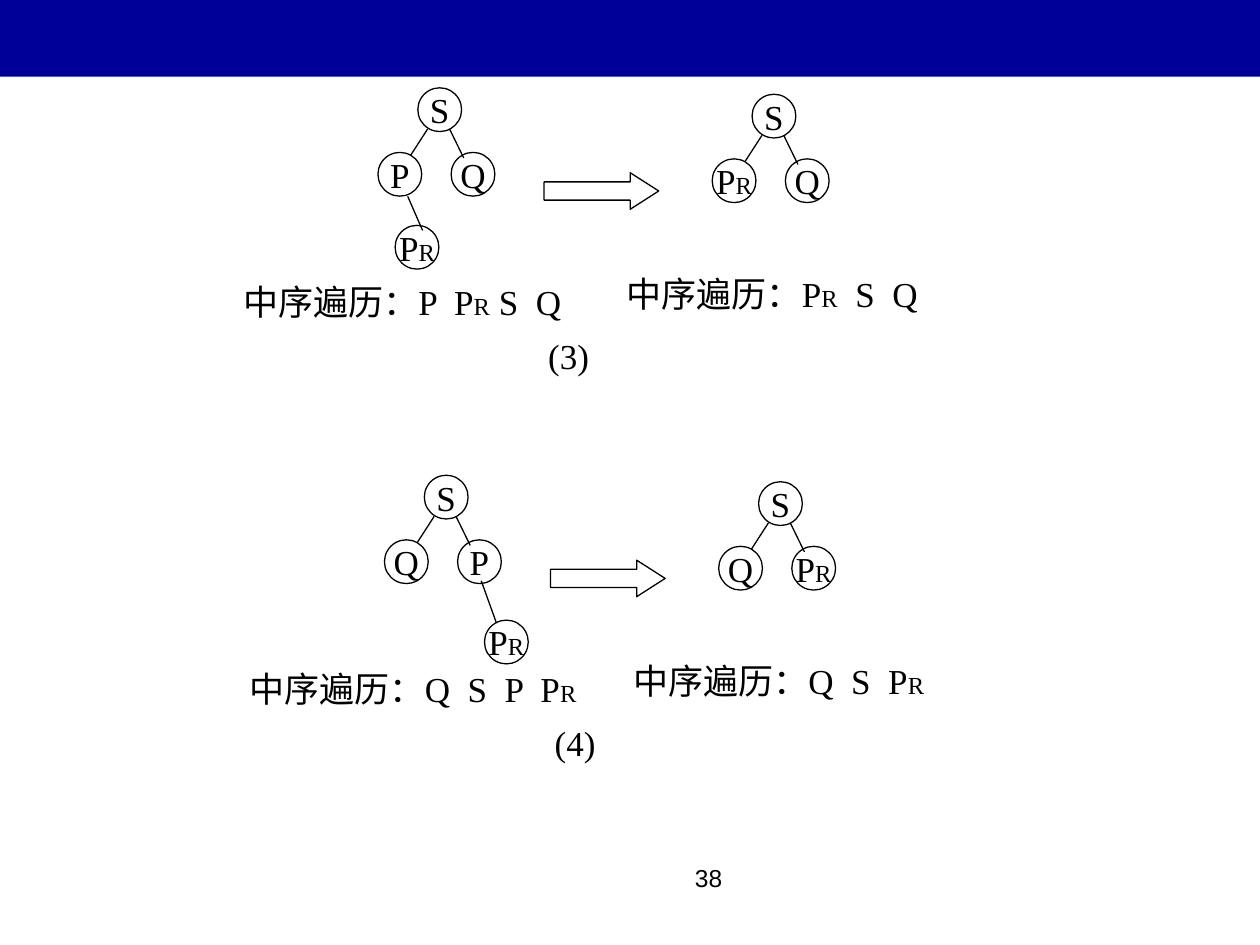
"""Build the slide on deleting a binary search tree node with one right child."""
from dataclasses import dataclass

from lxml.etree import SubElement
from pptx import Presentation
from pptx.dml.color import RGBColor
from pptx.enum.shapes import MSO_CONNECTOR, MSO_SHAPE
from pptx.enum.text import MSO_ANCHOR, MSO_AUTO_SIZE, PP_ALIGN
from pptx.oxml.ns import qn
from pptx.util import Pt


@dataclass(frozen=True)
class Theme:
    """Colours, fonts and sizes in points."""
    band: RGBColor = RGBColor(0x00, 0x00, 0x99)
    ink: RGBColor = RGBColor(0x00, 0x00, 0x00)
    serif: str = "Times New Roman"
    sans: str = "Arial"
    body: float = 20
    small: float = 14
    stroke: float = 0.75
    node: float = 25
    caption_height: float = 31.7


THEME = Theme()
PR = ("P", "R")
LEFT_CHILD, RIGHT_CHILD = (-22.8, 36.9), (19, 36.9)
CHILD_EDGES = (((5.6, 23.5), (-4.1, 38.5)), ((18.1, 23.5), (26.2, 40.1)))
AFTER_OFFSET = (191, 3.7)

SCENES = (
    {
        "root": (238.8, 50.2),
        "before": ("P", "Q"),
        "after": (PR, "Q"),
        "grandchild": (-13, 78.6),
        "grandchild_edge": ((-5.8, 62), (2.7, 81.5)),
        "before_order": ("中序遍历：P  P", "R", " S  Q"),
        "before_width": 203,
        "after_order": ("中序遍历：P", "R", "  S  Q"),
        "number": "(3)",
    },
    {
        "root": (242.5, 271.6),
        "before": ("Q", "P"),
        "after": ("Q", PR),
        "grandchild": (34.4, 82.8),
        "grandchild_edge": ((32.5, 60.3), (41, 83.9)),
        "before_order": ("中序遍历：Q  S  P  P", "R"),
        "before_width": 209,
        "after_order": ("中序遍历：Q  S  P", "R"),
        "number": "(4)",
    },
)


def shift(origin, offset):
    """Return the point that lies at an offset from an origin."""
    return origin[0] + offset[0], origin[1] + offset[1]


def write_text(shape, pieces, *, font=THEME.serif, sizes=(THEME.body, THEME.small),
               align=PP_ALIGN.LEFT, anchor=MSO_ANCHOR.MIDDLE, wrap=False, grow=False):
    """Write a string, or pieces that alternate between the two sizes."""
    frame = shape.text_frame
    frame.word_wrap = wrap
    frame.vertical_anchor = anchor
    frame.auto_size = MSO_AUTO_SIZE.SHAPE_TO_FIT_TEXT if grow else MSO_AUTO_SIZE.NONE
    paragraph = frame.paragraphs[0]
    paragraph.alignment = align
    for index, piece in enumerate((pieces,) if isinstance(pieces, str) else pieces):
        run = paragraph.add_run()
        run.text = piece
        run.font.name = font
        run.font.size = Pt(sizes[index % 2])
        run.font.color.rgb = THEME.ink


def add_outline(shapes, kind, corner, width, height):
    """Add an unfilled preset shape with a thin line."""
    outline = shapes.add_shape(kind, *map(Pt, (*corner, width, height)))
    outline.shadow.inherit = False
    outline.fill.background()
    outline.line.color.rgb = THEME.ink
    outline.line.width = Pt(THEME.stroke)
    return outline


def add_node(shapes, corner, label):
    """Add a labelled tree node."""
    node = add_outline(shapes, MSO_SHAPE.OVAL, corner, THEME.node, THEME.node)
    write_text(node, label, align=PP_ALIGN.CENTER)


def add_edge(shapes, root, ends):
    """Add a tree edge whose ends are offsets from the root."""
    start, end = (shift(root, offset) for offset in ends)
    edge = shapes.add_connector(MSO_CONNECTOR.STRAIGHT, *map(Pt, (*start, *end)))
    edge.line.color.rgb = THEME.ink
    edge.line.width = Pt(THEME.stroke)
    SubElement(edge._element.spPr, qn("a:effectLst"))


def add_tree(shapes, root, children):
    """Add a root S with its two children."""
    add_node(shapes, root, "S")
    for offset, label in zip((LEFT_CHILD, RIGHT_CHILD), children):
        add_node(shapes, shift(root, offset), label)
    for ends in CHILD_EDGES:
        add_edge(shapes, root, ends)


def add_caption(shapes, corner, width, pieces, align=PP_ALIGN.LEFT):
    """Add a one-line caption."""
    caption = shapes.add_textbox(*map(Pt, (*corner, width, THEME.caption_height)))
    write_text(caption, pieces, align=align, grow=True)


def add_scene(slide, scene):
    """Add the trees before and after deletion with their traversals."""
    shapes = slide.shapes.add_group_shape().shapes
    root = scene["root"]
    add_tree(shapes, root, scene["before"])
    add_node(shapes, shift(root, scene["grandchild"]), PR)
    add_edge(shapes, root, scene["grandchild_edge"])
    add_tree(shapes, shift(root, AFTER_OFFSET), scene["after"])

    arrow = add_outline(shapes, MSO_SHAPE.RIGHT_ARROW, shift(root, (72.1, 48.5)), 65.5, 20.9)
    arrow.adjustments[0] = 0.5
    arrow.adjustments[1] = 0.78

    add_caption(shapes, shift(root, (-107, 106.2)), scene["before_width"], scene["before_order"])
    add_caption(shapes, shift(root, (112.2, 101.7)), 188, scene["after_order"])
    add_caption(shapes, shift(root, (65.9, 137)), 40.4, scene["number"], PP_ALIGN.CENTER)


def add_band(slide):
    """Add the solid band along the top edge."""
    band = slide.shapes.add_shape(MSO_SHAPE.RECTANGLE, *map(Pt, (-0.7, 0, 720.7, 43.8)))
    band.shadow.inherit = False
    band.fill.solid()
    band.fill.fore_color.rgb = THEME.band
    band.line.fill.background()


def add_page_number(slide, number):
    """Add the page number at the foot."""
    page = slide.shapes.add_textbox(*map(Pt, (270, 489.6, 149.8, 36)))
    write_text(page, number, font=THEME.sans, sizes=(THEME.small,) * 2,
               align=PP_ALIGN.RIGHT, anchor=MSO_ANCHOR.TOP, wrap=True)


def main():
    """Build and save the slide."""
    presentation = Presentation()
    presentation.slide_width, presentation.slide_height = Pt(720), Pt(540)
    slide = presentation.slides.add_slide(presentation.slide_layouts[6])
    add_band(slide)
    add_page_number(slide, "38")
    for scene in SCENES:
        add_scene(slide, scene)
    presentation.save("out.pptx")


if __name__ == "__main__":
    main()
